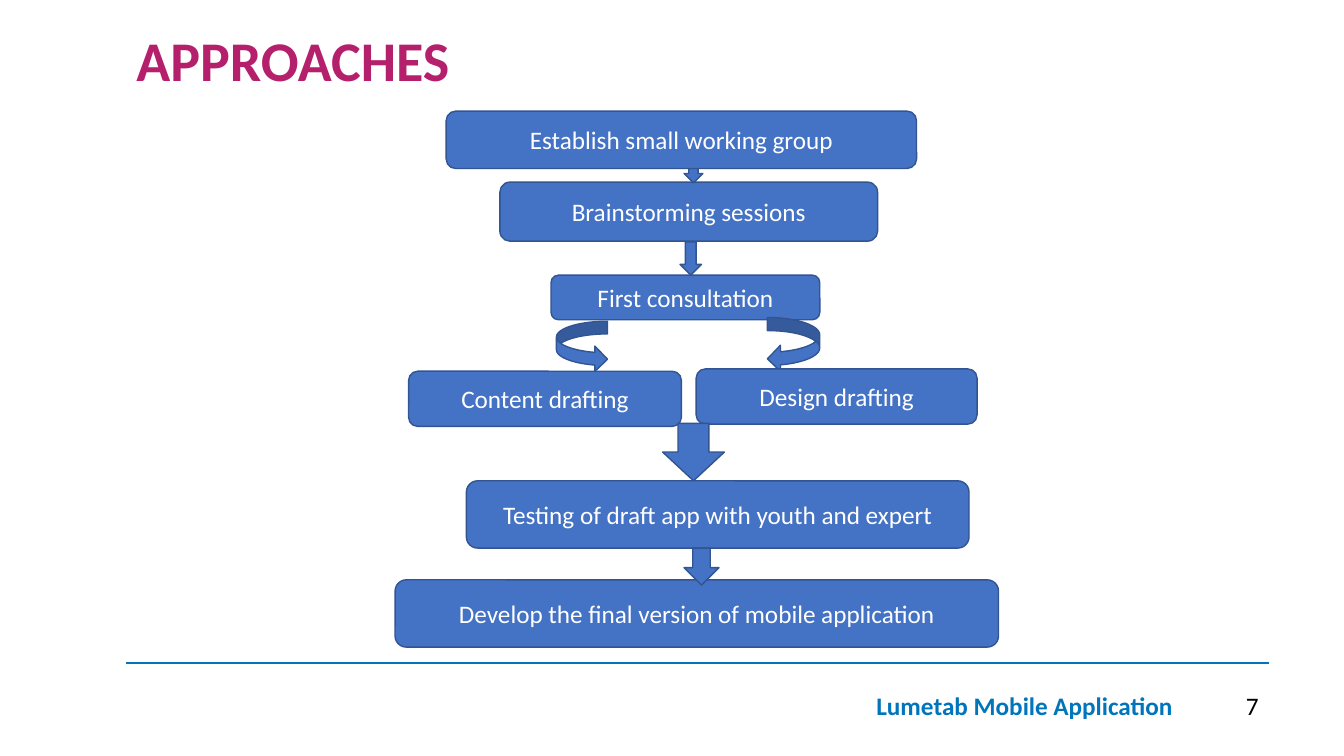
from pptx import Presentation
from pptx.dml.color import RGBColor
from pptx.enum.shapes import MSO_CONNECTOR, MSO_SHAPE
from pptx.enum.text import MSO_ANCHOR, MSO_AUTO_SIZE, PP_ALIGN
from pptx.oxml.ns import qn
from pptx.util import Inches, Pt
from lxml import etree

BOX = MSO_SHAPE.ROUNDED_RECTANGLE
DOWN = MSO_SHAPE.DOWN_ARROW
CURVE_RIGHT = MSO_SHAPE.CURVED_RIGHT_ARROW
CURVE_LEFT = MSO_SHAPE.CURVED_LEFT_ARROW
STRAIGHT = MSO_CONNECTOR.STRAIGHT
LEFT, CENTER, RIGHT = PP_ALIGN.LEFT, PP_ALIGN.CENTER, PP_ALIGN.RIGHT
TOP, MIDDLE = MSO_ANCHOR.TOP, MSO_ANCHOR.MIDDLE

FONT = "Calibri"
STEP_FILL = RGBColor(0x44, 0x72, 0xC4)
STEP_EDGE = RGBColor(0x32, 0x54, 0x91)
MAGENTA = RGBColor(0xB4, 0x20, 0x6B)
BLUE = RGBColor(0x00, 0x75, 0xBC)
WHITE = RGBColor(0xFF, 0xFF, 0xFF)
BLACK = RGBColor(0x00, 0x00, 0x00)

# Places are percentages of the slide: left, top, width, height.
TITLE = ("APPROACHES", (9.4, 3.7, 36.9, 8.9))
FLOW = [
    (BOX, "First consultation", (41.0, 36.4, 20.0, 5.9)),
    (BOX, "Brainstorming sessions", (37.2, 24.1, 28.1, 7.8)),
    (CURVE_RIGHT, "", (41.4, 42.5, 3.8, 6.7)),
    (CURVE_LEFT, "", (57.1, 42.0, 3.9, 7.2)),
    (BOX, "Content drafting", (30.4, 49.1, 20.3, 7.3)),
    (BOX, "Design drafting", (51.8, 48.8, 20.9, 7.3)),
    (BOX, "Testing of draft app with youth and expert", (34.7, 63.6, 37.4, 8.9)),
    (BOX, "Develop the final version of mobile application", (29.4, 76.7, 44.9, 8.9)),
    (DOWN, "", (50.9, 20.3, 1.4, 3.9)),
    (DOWN, "", (50.6, 32.0, 1.6, 4.4)),
    (BOX, "Establish small working group", (33.2, 14.7, 35.0, 7.6)),
    (DOWN, "", (49.3, 56.0, 4.6, 7.6)),
    (DOWN, "", (50.9, 72.5, 2.6, 4.9)),
]
FOOTER = [
    ("Lumetab Mobile Application", BLUE, True, (54.2, 90.7, 33.8, 5.3)),
    ("7", BLACK, False, (84.4, 90.7, 10, 5.3)),
]
RULE_LEFT, RULE_RIGHT, RULE_TOP = 9.4, 94.4, 87.7

deck = Presentation()
deck.slide_width, deck.slide_height = Inches(13.33), Inches(7.5)
slide = deck.slides.add_slide(deck.slide_layouts[5])


def across(share):
    return round(deck.slide_width * share / 100)


def down(share):
    return round(deck.slide_height * share / 100)


def place(area):
    left, top, width, height = area
    return across(left), down(top), across(width), down(height)


def write(frame, words, size, color, bold, align, anchor):
    frame.word_wrap = True
    frame.auto_size = MSO_AUTO_SIZE.NONE
    frame.vertical_anchor = anchor
    paragraph = frame.paragraphs[0]
    paragraph.alignment = align
    run = paragraph.add_run()
    run.text = words
    run.font.name, run.font.size, run.font.bold = FONT, Pt(size), bold
    run.font.color.rgb = color
    return paragraph


rule = slide.shapes.add_connector(
    STRAIGHT, across(RULE_LEFT), down(RULE_TOP), across(RULE_RIGHT), down(RULE_TOP))
rule.line.color.rgb, rule.line.width = BLUE, Pt(1.75)
etree.SubElement(rule._element.spPr, qn("a:effectLst"))

heading, heading_area = TITLE
title = slide.shapes.title
title.left, title.top, title.width, title.height = place(heading_area)
write(title.text_frame, heading, 40, MAGENTA, True, LEFT, TOP).line_spacing = 0.9

for kind, words, area in FLOW:
    step = slide.shapes.add_shape(kind, *place(area))
    step.shadow.inherit = False
    step.fill.solid()
    step.fill.fore_color.rgb = STEP_FILL
    step.line.color.rgb, step.line.width = STEP_EDGE, Pt(1)
    if words:
        write(step.text_frame, words, 18, WHITE, False, CENTER, MIDDLE)

for words, color, bold, area in FOOTER:
    note = slide.shapes.add_textbox(*place(area))
    write(note.text_frame, words, 18, color, bold, RIGHT, TOP)

deck.save("out.pptx")
